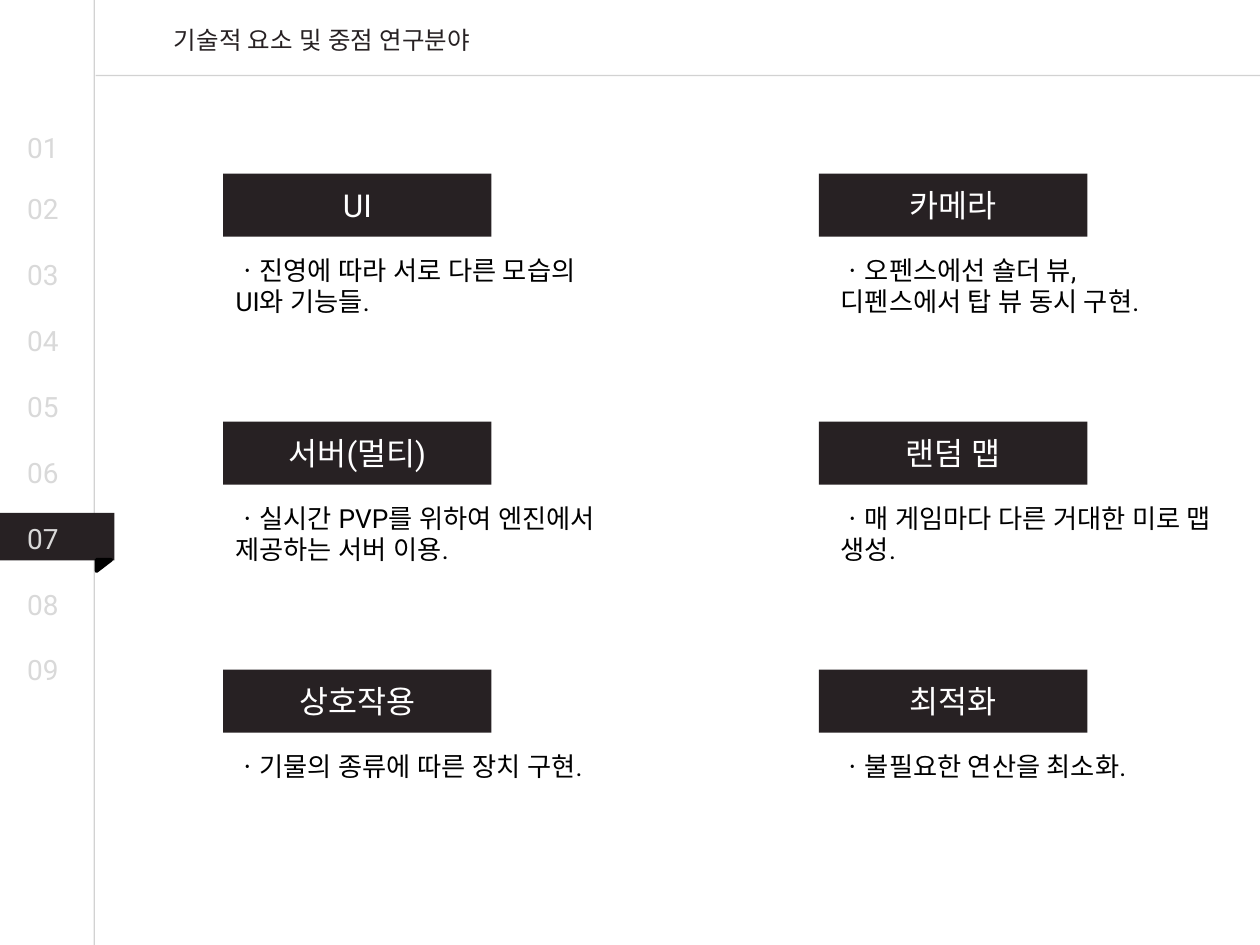
from lxml import etree
from pptx import Presentation
from pptx import util as u
from pptx.dml.color import RGBColor
from pptx.enum import shapes, text
from pptx.oxml.ns import qn

FONT = "Roboto"
COLORS = {
    "dark": "272123",
    "fold": "000000",
    "body": "000000",
    "label": "FFFFFF",
    "number": "D9D9D9",
    "rule": "A6A6A6",
}

# Each row holds a left and a right topic: heading, then its paragraphs
TOPICS = [
    [("UI", ["ㆍ진영에 따라 서로 다른 모습의", "UI와 기능들."]),
     ("카메라", ["ㆍ오펜스에선 숄더 뷰,", "디펜스에서 탑 뷰 동시 구현."])],
    [("서버(멀티)", ["ㆍ실시간 PVP를 위하여 엔진에서 제공하는 서버 이용."]),
     ("랜덤 맵", ["ㆍ매 게임마다 다른 거대한 미로 맵 생성."])],
    [("상호작용", ["ㆍ기물의 종류에 따른 장치 구현."]),
     ("최적화", ["ㆍ불필요한 연산을 최소화."])],
]
# Left of heading, left of description, width of description
COLUMNS = [(4.5, 4.5, 9), (16.51, 16.7, 8.33)]
ROW_TOP, ROW_STEP = 3.5, 5


def cm(*lengths):
    return [u.Cm(length) for length in lengths]


def color(name):
    return RGBColor.from_string(COLORS[name])


def write(frame, paragraphs, size, color_name, align=text.PP_ALIGN.LEFT):
    frame.word_wrap = True
    for index, words in enumerate(paragraphs):
        paragraph = frame.add_paragraph() if index else frame.paragraphs[0]
        paragraph.alignment = align
        run = paragraph.add_run()
        run.text = words
        run.font.size = u.Pt(size)
        run.font.name = FONT
        run.font.color.rgb = color(color_name)
        east_asian = etree.SubElement(run.font._element, qn("a:ea"))
        east_asian.set("typeface", FONT)


def add_text(slide, box, paragraphs, size, color_name):
    frame = slide.shapes.add_textbox(*cm(*box)).text_frame
    write(frame, paragraphs, size, color_name)


def add_block(parent, kind, box, color_name):
    block = parent.shapes.add_shape(kind, *cm(*box))
    block.shadow.inherit = False
    block.fill.solid()
    block.fill.fore_color.rgb = color(color_name)
    block.line.fill.background()
    return block


def add_rule(slide, *ends):
    rule = slide.shapes.add_connector(shapes.MSO_CONNECTOR.STRAIGHT, *cm(*ends))
    rule.line.width = u.Pt(0.75)
    rule.line.color.rgb = color("rule")
    properties = rule._element.spPr
    etree.SubElement(properties, qn("a:effectLst"))
    # Half transparent
    shade = properties.find(".//" + qn("a:srgbClr"))
    etree.SubElement(shade, qn("a:alpha")).set("val", "50000")


def add_title(slide, words):
    title = slide.shapes.title
    title.left, title.top, title.width, title.height = cm(2.9, 0.38, 7.19, 1.45)
    title.text_frame.vertical_anchor = text.MSO_ANCHOR.TOP
    write(title.text_frame, [words], 14, "dark", text.PP_ALIGN.CENTER)


def add_ribbon(slide):
    ribbon = slide.shapes.add_group_shape()
    add_block(ribbon, shapes.MSO_SHAPE.RECTANGLE, (0, 10.34, 2.31, 0.96), "dark")
    fold = add_block(ribbon, shapes.MSO_SHAPE.RIGHT_TRIANGLE,
                     (1.98, 11.25, 0.23, 0.3), "fold")
    fold.rotation = 90
    fold.line.color.rgb = color("fold")
    fold.line.width = u.Pt(2)


def add_numbers(slide):
    # The first number stands slightly apart from the even run below it
    tops = [2.51] + [3.73 + 1.33 * step for step in range(8)]
    for number, top in enumerate(tops, start=1):
        add_text(slide, (0.3, top, 1.25, 0.94), [f"{number:02}"], 16, "number")


def add_topic(slide, column, top, heading, description):
    heading_left, text_left, text_width = column
    label = add_block(slide, shapes.MSO_SHAPE.RECTANGLE,
                      (heading_left, top, 5.41, 1.27), "dark")
    label.text_frame.vertical_anchor = text.MSO_ANCHOR.MIDDLE
    write(label.text_frame, [heading], 18, "label", text.PP_ALIGN.CENTER)
    add_text(slide, (text_left, top + 1.5, text_width, 1.55), description, 15, "body")


def main():
    deck = Presentation()
    deck.slide_width, deck.slide_height = cm(25.4, 19.05)
    slide = deck.slides.add_slide(deck.slide_layouts[5])

    # Frame and title
    add_rule(slide, 1.9, -1.04, 1.9, 19.74)
    add_rule(slide, 27.74, 1.52, 1.93, 1.52)
    add_title(slide, "기술적 요소 및 중점 연구분야")

    # Section numbers with the current one on a ribbon
    add_ribbon(slide)
    add_numbers(slide)

    # Topic grid
    for row, topics in enumerate(TOPICS):
        for column, (heading, description) in zip(COLUMNS, topics):
            add_topic(slide, column, ROW_TOP + row * ROW_STEP, heading, description)

    deck.save("out.pptx")


if __name__ == "__main__":
    main()
